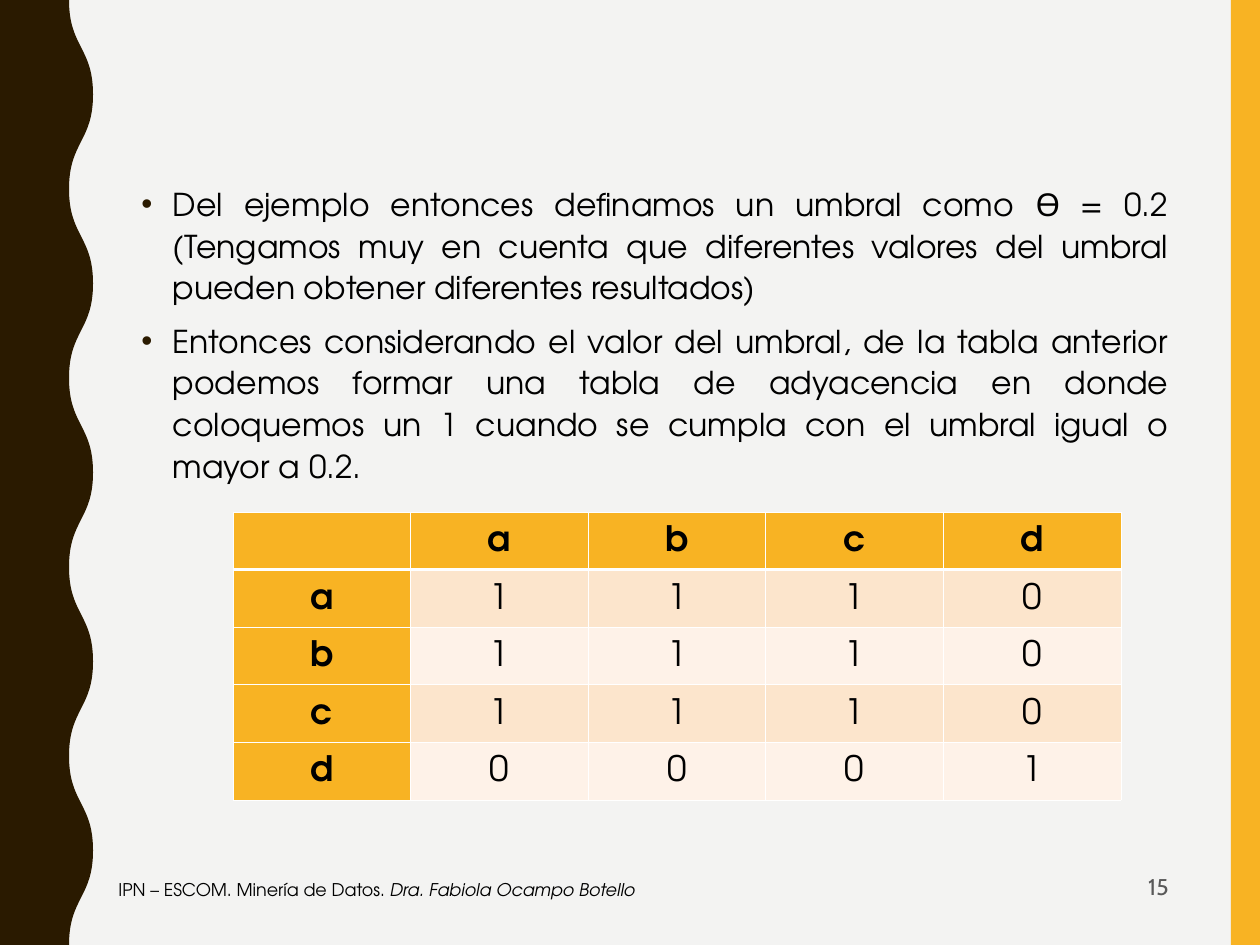
from lxml.etree import SubElement
from pptx import Presentation
from pptx.dml.color import RGBColor
from pptx.enum.shapes import MSO_SHAPE as Shape
from pptx.enum.text import MSO_ANCHOR as Anchor, PP_ALIGN as Align
from pptx.oxml.ns import qn
from pptx.util import Emu, Pt

WIDTH, HEIGHT = 1260, 945
EMU_PER_PX = 914400 / 126

PAPER = RGBColor(0xF3, 0xF3, 0xF2)
AMBER = RGBColor(0xF8, 0xB3, 0x23)
BROWN = RGBColor(0x2A, 0x1A, 0x00)
PEACH = RGBColor(0xFC, 0xE5, 0xCC)
CREAM = RGBColor(0xFE, 0xF2, 0xE8)
BLACK = RGBColor(0x00, 0x00, 0x00)
GRAY = RGBColor(0x59, 0x59, 0x59)
WHITE = RGBColor(0xFF, 0xFF, 0xFF)


def px(length):
    return Emu(round(length * EMU_PER_PX))


class SlideBuilder:
    font = "TeX Gyre Adventor"
    thin, thick = Pt(0.45), Pt(1.47)

    def __init__(self, slide):
        self.slide = slide
        fill = slide.background.fill
        fill.solid()
        fill.fore_color.rgb = PAPER

    def paint(self, shape, color):
        shape.shadow.inherit = False
        shape.fill.solid()
        shape.fill.fore_color.rgb = color
        shape.line.fill.background()

    def band(self, x, y, w, h, color):
        bar = self.slide.shapes.add_shape(Shape.RECTANGLE, px(x), px(y), px(w), px(h))
        self.paint(bar, color)

    def wavy_edge(self, trough, crest, halves, color):
        """Left band whose right side swings between trough and crest."""
        half = HEIGHT / halves
        swing = [(px(crest if n % 2 else trough), px(n * half)) for n in range(halves + 1)]
        outline = self.slide.shapes.build_freeform(*swing[0])
        outline.add_line_segments([*swing[1:], (0, px(HEIGHT)), (0, 0)])
        edge = outline.convert_to_shape()
        self.paint(edge, color)

        # Bend each half wave into one cubic curve
        segments = list(edge._element.iter(qn("a:lnTo")))
        for segment, start, end in zip(segments, swing, swing[1:]):
            middle = (start[1] + end[1]) // 2
            curve = segment.makeelement(qn("a:cubicBezTo"))
            for x, y in ((start[0], middle), (end[0], middle), end):
                SubElement(curve, qn("a:pt"), x=str(x), y=str(y))
            segment.getparent().replace(segment, curve)

    def run(self, paragraph, text, size, color=BLACK, font=None, bold=False, italic=False):
        run = paragraph.add_run()
        run.text = text
        style = run.font
        style.name, style.size = font or self.font, Pt(size)
        style.bold, style.italic = bold, italic
        style.color.rgb = color

    def text_frame(self, x, y, w, h, anchor):
        frame = self.slide.shapes.add_textbox(px(x), px(y), px(w), px(h)).text_frame
        frame.word_wrap = True
        frame.vertical_anchor = anchor
        return frame

    def bullets(self, x, y, w, h, items, size):
        frame = self.text_frame(x, y, w, h, Anchor.TOP)
        for n, item in enumerate(items):
            paragraph = frame.add_paragraph() if n else frame.paragraphs[0]
            properties = paragraph._p.get_or_add_pPr()
            properties.set("marL", str(Pt(18)))
            properties.set("indent", str(-Pt(18)))
            bullet_color = SubElement(properties, qn("a:buClr"))
            SubElement(bullet_color, qn("a:srgbClr"), val=str(BROWN))
            SubElement(properties, qn("a:buFont"), typeface="Arial")
            SubElement(properties, qn("a:buChar"), char="•")
            paragraph.alignment = Align.JUSTIFY
            paragraph.line_spacing = 1.1
            if n:
                paragraph.space_before = Pt(7)
            self.run(paragraph, item, size)

    def line(self, x, y, w, h, align=Align.LEFT, spacing=1.0):
        paragraph = self.text_frame(x, y, w, h, Anchor.MIDDLE).paragraphs[0]
        paragraph.alignment = align
        paragraph.line_spacing = spacing
        return paragraph

    def borders(self, cell, row):
        properties = cell._tc.get_or_add_tcPr()
        heavy = {0: "B", 1: "T"}.get(row)
        for side in "LRTB":
            width = self.thick if side == heavy else self.thin
            edge = SubElement(properties, qn(f"a:ln{side}"), w=str(width))
            SubElement(SubElement(edge, qn("a:solidFill")), qn("a:srgbClr"), val=str(WHITE))

    def matrix(self, x, y, w, h, rows, size):
        table = self.slide.shapes.add_table(
            len(rows), len(rows[0]), px(x), px(y), px(w), px(h)).table
        table.first_row = table.horz_banding = False
        for r, values in enumerate(rows):
            for c, value in enumerate(values):
                cell = table.cell(r, c)
                heading = r == 0 or c == 0
                self.borders(cell, r)
                cell.fill.solid()
                cell.fill.fore_color.rgb = AMBER if heading else PEACH if r % 2 else CREAM
                cell.vertical_anchor = Anchor.MIDDLE
                cell.margin_left = cell.margin_right = px(9)
                paragraph = cell.text_frame.paragraphs[0]
                paragraph.alignment = Align.CENTER
                paragraph.line_spacing = 1.07
                if value:
                    self.run(paragraph, value, size, bold=heading)


def main():
    deck = Presentation()
    deck.slide_width, deck.slide_height = px(WIDTH), px(HEIGHT)
    page = SlideBuilder(deck.slides.add_slide(deck.slide_layouts[6]))

    # Side decoration
    page.band(1231, 0, 29, HEIGHT, AMBER)
    page.wavy_edge(69, 93, 10, BROWN)

    # Threshold explanation
    page.bullets(129, 175, 1052, 605, [
        "Del ejemplo entonces definamos un umbral como Ɵ = 0.2 (Tengamos muy en cuenta "
        "que diferentes valores del umbral pueden obtener diferentes resultados)",
        "Entonces considerando el valor del umbral, de la tabla anterior podemos formar "
        "una tabla de adyacencia en donde coloquemos un 1 cuando se cumpla con el umbral "
        "igual o mayor a 0.2.",
    ], 18)

    # Page number
    number = page.line(890, 865, 291, 48, Align.RIGHT, 0.8)
    page.run(number, "15", 13, GRAY, "Cabin")

    # Adjacency table
    adjacency = {"a": "1110", "b": "1110", "c": "1110", "d": "0001"}
    rows = [["", *adjacency]] + [[node, *links] for node, links in adjacency.items()]
    page.matrix(233, 512, 888, 250, rows, 20)

    # Footer
    footer = page.line(106, 858, 742, 63)
    page.run(footer, "IPN – ESCOM. Minería de Datos. ", 10)
    page.run(footer, "Dra. Fabiola Ocampo Botello", 10, italic=True)

    deck.save("out.pptx")


if __name__ == "__main__":
    main()
